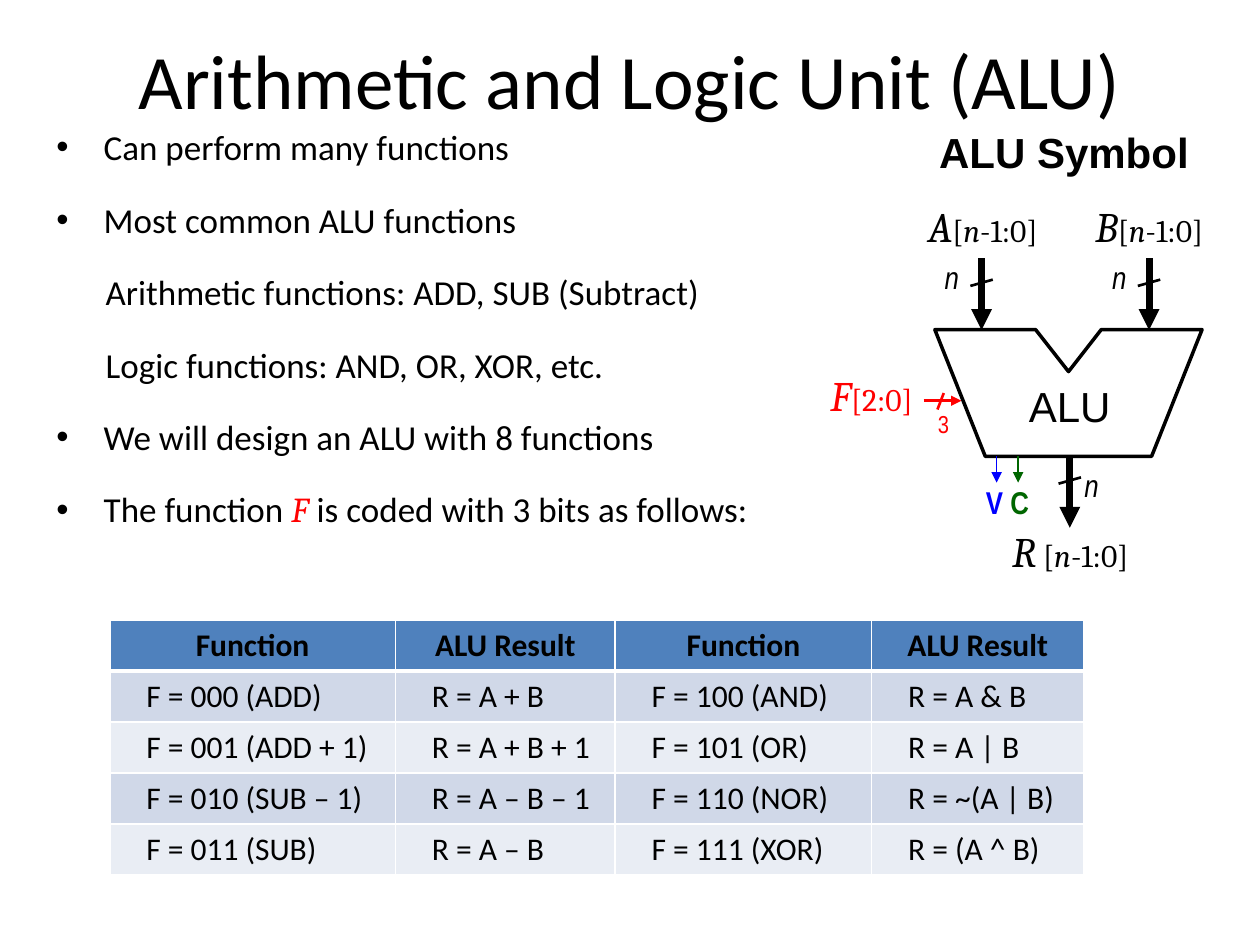
import pptx
import pptx.util
import pptx.dml.color
import pptx.enum.shapes
import pptx.enum.text
import pptx.oxml.ns
import lxml.etree

Pt = pptx.util.Pt
qn = pptx.oxml.ns.qn
ALIGN = pptx.enum.text.PP_ALIGN
ANCHOR = pptx.enum.text.MSO_ANCHOR

COLORS = {
    "black": "000000", "white": "FFFFFF", "red": "FF0000", "blue": "0000FF",
    "green": "006600", "header": "4F81BD", "odd": "D0D8E8", "even": "E9EDF4",
}
CALIBRI = {"name": "Calibri", "size": Pt(20)}
TITLE = {"name": "Calibri", "size": Pt(44)}
CELL = {"name": "Calibri", "size": Pt(18)}
HEAD = {**CELL, "bold": True}
ARIAL = {"name": "Arial", "size": Pt(24)}
SIGNAL = {"name": "Cambria", "size": Pt(24), "italic": True}
RANGE = {"name": "Cambria", "size": Pt(18)}
INDEX = {**RANGE, "italic": True}
NARROW = {"name": "Arial Narrow", "size": Pt(18)}

FUNCTIONS = [
    ["Function", "ALU Result", "Function", "ALU Result"],
    ["F = 000 (ADD)", "R = A + B", "F = 100 (AND)", "R = A & B"],
    ["F = 001 (ADD + 1)", "R = A + B + 1", "F = 101 (OR)", "R = A | B"],
    ["F = 010 (SUB – 1)", "R = A – B – 1", "F = 110 (NOR)", "R = ~(A | B)"],
    ["F = 011 (SUB)", "R = A – B", "F = 111 (XOR)", "R = (A ^ B)"],
]


def rgb(color):
    return pptx.dml.color.RGBColor.from_string(COLORS[color])


def add_runs(paragraph, runs):
    for text, style, color in runs:
        run = paragraph.add_run()
        run.text = text
        for attribute, value in style.items():
            setattr(run.font, attribute, value)
        run.font.color.rgb = rgb(color)


def set_indent(paragraph, left, first=0):
    properties = paragraph._p.get_or_add_pPr()
    properties.set("marL", str(Pt(left)))
    properties.set("indent", str(Pt(first)))
    return properties


def add_frame(slide, box, wrap=True, inset=None, anchor=ANCHOR.MIDDLE):
    frame = slide.shapes.add_textbox(*map(Pt, box)).text_frame
    frame.word_wrap = wrap
    frame.vertical_anchor = anchor
    if inset is not None:
        for side in ("left", "top", "right", "bottom"):
            setattr(frame, "margin_" + side, Pt(inset))
    return frame


def add_label(slide, box, runs, align=ALIGN.LEFT):
    paragraph = add_frame(slide, box, inset=0).paragraphs[0]
    paragraph.alignment = align
    add_runs(paragraph, runs)


def add_heading(slide, box, text, style, spacing=1.0, wrap=False):
    paragraph = add_frame(slide, box, wrap).paragraphs[0]
    paragraph.alignment = ALIGN.CENTER
    paragraph.line_spacing = spacing
    add_runs(paragraph, [(text, style, "black")])


def add_bus_label(slide, box, signal, gap=()):
    runs = [(signal, SIGNAL, "black"), *gap, ("[", RANGE, "black"),
            ("n", INDEX, "black"), ("-1:0]", RANGE, "black")]
    add_label(slide, box, runs, ALIGN.CENTER)


def add_width_label(slide, left, top):
    runs = [(" ", {**CELL, "italic": True}, "black"),
            ("n", {**NARROW, "italic": True}, "black")]
    add_label(slide, (left, top, 16.6, 21.6), runs)


def add_line(slide, start, end, color, width, arrow=False):
    line = slide.shapes.add_connector(
        pptx.enum.shapes.MSO_CONNECTOR.STRAIGHT, *map(Pt, (*start, *end)))
    line.line.color.rgb = rgb(color)
    line.line.width = Pt(width)
    if arrow:
        tail = lxml.etree.SubElement(line.line._get_or_add_ln(), qn("a:tailEnd"))
        tail.set("type", "triangle")
    lxml.etree.SubElement(line._element.spPr, qn("a:effectLst"))


def add_bus(slide, x, top):
    add_line(slide, (x, top), (x, top + 41), "black", 4, True)
    add_line(slide, (x + 6.4, top + 12.2), (x - 6.4, top + 15.8), "black", 1.5)


def add_points(slide):
    points = [
        (True, [("Can perform many functions", CALIBRI, "black")]),
        (True, [("Most common ALU functions", CALIBRI, "black")]),
        (False, [("Arithmetic functions: ADD, SUB (Subtract)", CALIBRI, "black")]),
        (False, [("Logic functions: AND, OR, XOR, etc.", CALIBRI, "black")]),
        (True, [("We will design an ALU with 8 functions", CALIBRI, "black")]),
        (True, [("The function ", CALIBRI, "black"),
                ("F", {**SIGNAL, "size": Pt(20)}, "red"),
                (" is coded with 3 bits as follows:", CALIBRI, "black")]),
    ]
    frame = add_frame(slide, (25.2, 66, 489.6, 272.2), anchor=ANCHOR.TOP)
    for number, (bulleted, runs) in enumerate(points):
        point = frame.add_paragraph() if number else frame.paragraphs[0]
        point.line_spacing = 1.1
        point.space_before = Pt(15 if number else 0)
        properties = set_indent(point, *((27, -27) if bulleted else (28.1, 0)))
        if bulleted:
            font = lxml.etree.SubElement(properties, qn("a:buFont"))
            font.set("typeface", "Arial")
            bullet = lxml.etree.SubElement(properties, qn("a:buChar"))
            bullet.set("char", "•")
        add_runs(point, runs)


def add_borders(cell, widths):
    properties = cell._tc.get_or_add_tcPr()
    for side, width in widths.items():
        border = lxml.etree.SubElement(properties, qn("a:ln" + side))
        border.set("w", str(Pt(width)))
        fill = lxml.etree.SubElement(border, qn("a:solidFill"))
        lxml.etree.SubElement(fill, qn("a:srgbClr")).set("val", COLORS["white"])


def add_function_table(slide):
    widths = [163.2, 125.6, 146.6, 121.2]
    row_height = 29.1
    box = (62.8, 354.4, sum(widths), row_height * len(FUNCTIONS))
    table = slide.shapes.add_table(len(FUNCTIONS), len(widths), *map(Pt, box)).table
    for column, width in zip(table.columns, widths):
        column.width = Pt(width)
    for r, texts in enumerate(FUNCTIONS):
        table.rows[r].height = Pt(row_height)
        for c, text in enumerate(texts):
            cell = table.cell(r, c)
            add_borders(cell, {"L": 1, "R": 1, "T": 3 if r == 1 else 1,
                               "B": 3 if r == 0 else 1})
            cell.fill.solid()
            cell.fill.fore_color.rgb = rgb("header" if r == 0 else "odd" if r % 2 else "even")
            cell.vertical_anchor = ANCHOR.MIDDLE
            paragraph = cell.text_frame.paragraphs[0]
            if r == 0:
                paragraph.alignment = ALIGN.CENTER
            else:
                set_indent(paragraph, 13.6)
            add_runs(paragraph, [(text, CELL if r else HEAD, "black")])


def add_alu_body(slide):
    top, bottom, notch = 188.4, 260.8, 212.4
    outline = [(534.2, top), (563, bottom), (658.1, bottom), (686.9, top),
               (629.3, top), (610.6, notch), (591.8, top)]
    corners = [tuple(map(Pt, corner)) for corner in outline]
    builder = slide.shapes.build_freeform(*corners[0])
    builder.add_line_segments(corners[1:], close=True)
    body = builder.convert_to_shape()
    body.shadow.inherit = False
    body.fill.solid()
    body.fill.fore_color.rgb = rgb("white")
    body.line.color.rgb = rgb("black")
    body.line.width = Pt(2)


def add_alu_symbol(slide):
    add_alu_body(slide)
    add_heading(slide, (569.5, 220, 83.5, 29.5), "ALU", ARIAL, 0.8)
    add_heading(slide, (523, 74.9, 170, 29.5), "ALU Symbol",
                {**ARIAL, "bold": True}, 0.8)

    add_label(slide, (474.5, 212.4, 53.3, 25.9),
              [("F", SIGNAL, "red"), ("[2:0]", RANGE, "red")])
    add_label(slide, (533.5, 234.7, 12.2, 14.4),
              [(" ", {**ARIAL, "size": Pt(9)}, "black"),
               ("3", {**NARROW, "size": Pt(14)}, "red")])
    add_line(slide, (539.3, 224.6), (535.7, 234), "red", 1.5)
    add_line(slide, (527.8, 229), (549.4, 229), "red", 1.5, True)

    for x, top in ((560.9, 147.6), (656.6, 147.6), (611.3, 260.6)):
        add_bus(slide, x, top)
    for left, top in ((535.7, 147.6), (631.4, 147.6), (615.6, 266.4)):
        add_width_label(slide, left, top)
    add_bus_label(slide, (529.9, 115.9, 63.4, 25.9), "A")
    add_bus_label(slide, (621.4, 115.9, 70.6, 25.9), "B")
    add_bus_label(slide, (577.4, 301.7, 68.4, 25.9), "R", [(" ", INDEX, "black")])

    for x, color in ((569.5, "blue"), (581.8, "green")):
        add_line(slide, (x, 260.6), (x, 275.8), color, 1, True)
    flag = {**NARROW, "bold": True}
    add_label(slide, (560.9, 277.9, 29.5, 18),
              [("V ", flag, "blue"), ("C", flag, "green")], ALIGN.CENTER)


def main():
    deck = pptx.Presentation()
    deck.slide_width, deck.slide_height = Pt(720), Pt(540)
    slide = deck.slides.add_slide(deck.slide_layouts[6])
    add_heading(slide, (36, 0, 648, 90), "Arithmetic and Logic Unit (ALU)", TITLE, wrap=True)
    add_points(slide)
    add_function_table(slide)
    add_alu_symbol(slide)
    deck.save("out.pptx")


if __name__ == "__main__":
    main()
